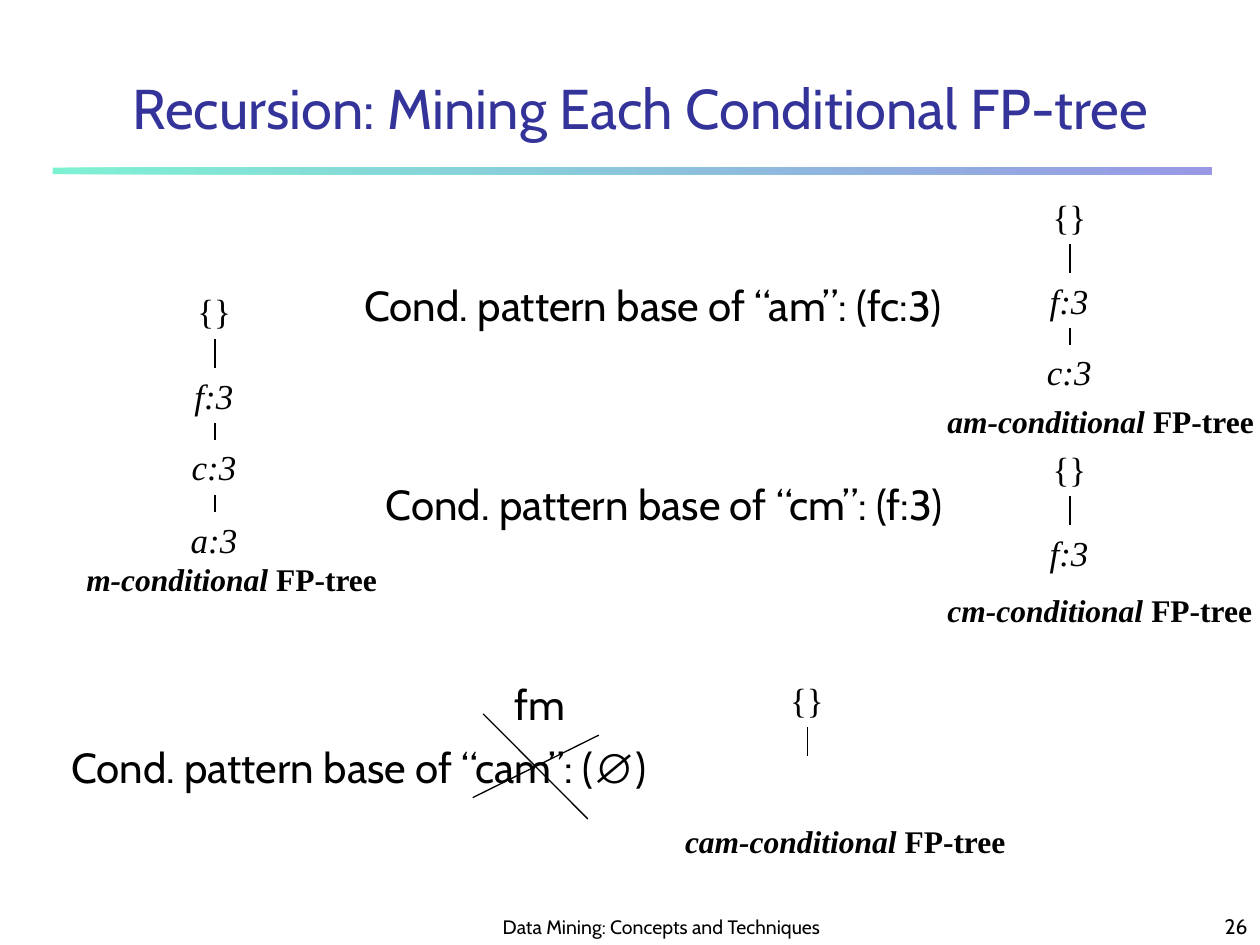
from lxml import etree
from pptx import Presentation
from pptx.dml.color import RGBColor
from pptx.enum.shapes import MSO_CONNECTOR as CONN, MSO_SHAPE as SHAPE
from pptx.enum.text import MSO_ANCHOR as ANCHOR, MSO_AUTO_SIZE as AUTO, PP_ALIGN as ALIGN
from pptx.oxml.ns import qn
from pptx.util import Cm, Pt

BLACK = RGBColor(0x00, 0x00, 0x00)
TITLE_BLUE = RGBColor(0x33, 0x33, 0x99)
RULE_GREEN = RGBColor(0x00, 0xE4, 0xA8)
RULE_BLUE = RGBColor(0x33, 0x33, 0xCC)

SANS, SERIF, SYMBOL = "Cabin", "Times New Roman", "Arial"

# Tree geometry in cm: level offsets from the root, and label widths
LEVELS = [0, 1.7, 3.14, 4.61]
NODE_WIDTHS = {"{}": 1.2, "f:3": 1.32, "c:3": 1.43, "a:3": 1.47}
NODE_HEIGHT = 1.11


def add_text(s, box, runs, size, color=BLACK, align=ALIGN.LEFT,
             anchor=ANCHOR.TOP, wrap=True):
    """Add one paragraph; runs are (text, font format) pairs."""
    tf = s.shapes.add_textbox(*map(Cm, box)).text_frame
    tf.word_wrap = wrap
    tf.auto_size = AUTO.NONE if wrap else AUTO.SHAPE_TO_FIT_TEXT
    tf.vertical_anchor = anchor
    p = tf.paragraphs[0]
    p.alignment = align
    for text, fmt in runs:
        r = p.add_run()
        r.text = text
        r.font.color.rgb = color
        for key, value in {"size": Pt(size), "name": SANS, **fmt}.items():
            setattr(r.font, key, value)


def add_line(s, x1, y1, x2, y2, width=1):
    line = s.shapes.add_connector(CONN.STRAIGHT, *map(Cm, (x1, y1, x2, y2)))
    line.line.color.rgb = BLACK
    line.line.width = Pt(width)
    etree.SubElement(line._element.spPr, qn("a:effectLst"))


def add_title_rule(s):
    sp = s.shapes.add_shape(SHAPE.RECTANGLE, Cm(1.06), Cm(3.38), Cm(23.37), Cm(0.13))
    sp.shadow.inherit = False
    sp.line.fill.background()
    sp.fill.gradient()
    sp.fill.gradient_angle = 0
    for stop, color in zip(sp.fill.gradient_stops, (RULE_GREEN, RULE_BLUE)):
        stop.color.rgb = color
    for clr in sp._element.spPr.iter(qn("a:srgbClr")):
        etree.SubElement(clr, qn("a:alpha"), val="50000")


def add_tree(s, center, top, nodes, item, caption_box):
    """Stack the nodes around a centre line, join them and add the caption."""
    for label, level in zip(nodes, LEVELS):
        width = NODE_WIDTHS[label]
        add_text(s, (center - width / 2, top + level, width, NODE_HEIGHT),
                 [(label, {"name": SERIF, "italic": label != "{}"})], 20, wrap=False)
    # A lone root keeps one open branch
    for i in range(max(1, len(nodes) - 1)):
        add_line(s, center, top + LEVELS[i] + NODE_HEIGHT, center, top + LEVELS[i + 1])
    bold = {"name": SERIF, "bold": True}
    add_text(s, caption_box, [(f"{item}-conditional ", {**bold, "italic": True}),
                              ("FP-tree", bold)], 18, wrap=False)


def main():
    prs = Presentation()
    prs.slide_width, prs.slide_height = Cm(25.4), Cm(19.05)
    s = prs.slides.add_slide(prs.slide_layouts[6])

    # Title and footer
    add_title_rule(s)
    add_text(s, (1.06, 1.06, 23.72, 1.9), [("Recursion: Mining Each Conditional FP-tree", {})],
             32, TITLE_BLUE, ALIGN.CENTER, ANCHOR.BOTTOM)
    add_text(s, (9.31, 17.98, 8.05, 1.07), [("Data Mining: Concepts and Techniques", {})],
             11.1, align=ALIGN.CENTER, anchor=ANCHOR.BOTTOM)
    add_text(s, (20.12, 17.98, 5.28, 1.07), [("26", {})],
             12, align=ALIGN.RIGHT, anchor=ANCHOR.BOTTOM)

    # Conditional FP-trees
    trees = [
        (4.33, 5.72, ["{}", "f:3", "c:3", "a:3"], "m", (1.49, 11.16, 6.38, 1.02)),
        (21.57, 3.81, ["{}", "f:3", "c:3"], "am", (18.85, 7.98, 6.68, 1.02)),
        (21.57, 8.89, ["{}", "f:3"], "cm", (18.85, 11.79, 6.65, 1.02)),
        (16.28, 13.55, ["{}"], "cam", (13.56, 16.44, 6.99, 1.02)),
    ]
    for tree in trees:
        add_tree(s, *tree)

    # Conditional pattern bases
    bases = [
        ((7.1, 5.51, 13.59, 1.27), [("Cond. pattern base of “am”: (fc:3)", {})]),
        ((7.53, 9.53, 13.11, 1.27), [("Cond. pattern base of “cm”: (f:3)", {})]),
        ((1.19, 14.82, 12.88, 1.27), [("Cond. pattern base of “cam”: (", {}),
                                      ("∅", {"name": SYMBOL}), (")", {})]),
        ((10.12, 13.55, 1.57, 1.27), [("fm", {})]),
    ]
    for box, runs in bases:
        add_text(s, box, runs, 24, wrap=box[2] > 2)

    # Cross-out over "cam"
    add_line(s, 9.53, 16.08, 12.07, 14.82, 0.75)
    add_line(s, 9.74, 14.39, 11.85, 16.51, 0.75)

    prs.save("out.pptx")


if __name__ == "__main__":
    main()
